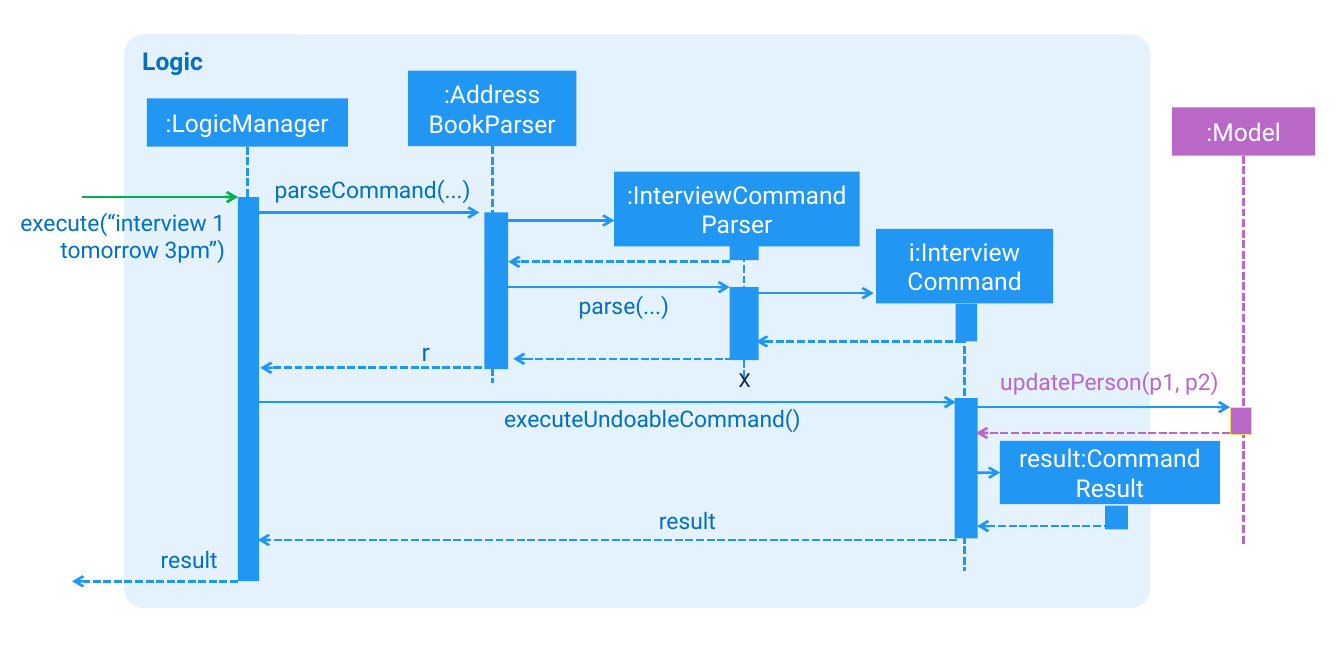
from dataclasses import dataclass

from lxml import etree
from pptx import Presentation
from pptx import util as u
from pptx.dml.color import RGBColor
from pptx.enum import dml, shapes, text
from pptx.oxml.ns import qn


@dataclass(frozen=True)
class Theme:
    font: str = "Roboto"
    panel: str = "E3F2FD"
    logic: str = "2196F3"
    model: str = "BA68C8"
    model_edge: str = "FFD966"
    call: str = "00B050"
    label: str = "0070C0"
    destroyed: str = "002060"
    white: str = "FFFFFF"
    title_size: int = 14
    label_size: int = 13
    mark_size: int = 11
    line_width: float = 1.5
    edge_width: float = 0.5


THEME = Theme()


def write_text(shape, content, size=THEME.title_size, color=THEME.white, bold=False,
               align=text.PP_ALIGN.CENTER, anchor=text.MSO_ANCHOR.MIDDLE, inset=0):
    frame = shape.text_frame
    frame.word_wrap = True
    frame.vertical_anchor = anchor
    frame.margin_left = frame.margin_right = u.Cm(inset)
    frame.margin_top = frame.margin_bottom = u.Cm(inset / 2)
    frame.text = content
    for paragraph in frame.paragraphs:
        paragraph.alignment = align
        paragraph.font.name = THEME.font
        paragraph.font.size = u.Pt(size)
        paragraph.font.bold = bold
        paragraph.font.color.rgb = RGBColor.from_string(color)


def add_block(slide, left, top, width, height, color=THEME.logic, edge=None,
              kind=shapes.MSO_SHAPE.RECTANGLE):
    shape = slide.shapes.add_shape(kind, u.Cm(left), u.Cm(top), u.Cm(width), u.Cm(height))
    shape.shadow.inherit = False
    shape.fill.solid()
    shape.fill.fore_color.rgb = RGBColor.from_string(color)
    if edge:
        shape.line.color.rgb = RGBColor.from_string(edge)
        shape.line.width = u.Pt(THEME.edge_width)
    else:
        shape.line.fill.background()
    return shape


def add_participant(slide, name, left, top, width, height, color=THEME.logic):
    shape = add_block(slide, left, top, width, height, color)
    write_text(shape, name)
    return shape


def add_line(slide, start, end, color=THEME.logic, dashed=False, arrow=False):
    line = slide.shapes.add_connector(shapes.MSO_CONNECTOR.STRAIGHT, *start, *end)
    line.line.color.rgb = RGBColor.from_string(color)
    line.line.width = u.Pt(THEME.line_width)
    if dashed:
        line.line.dash_style = dml.MSO_LINE.SQUARE_DOT
    properties = line._element.spPr
    if arrow:
        etree.SubElement(properties.find(qn("a:ln")), qn("a:tailEnd"), type="arrow")
    etree.SubElement(properties, qn("a:effectLst"))
    return line


def add_lifeline(slide, owner, bottom, color=THEME.logic, site=2):
    center = owner.left + owner.width // 2
    top = owner.top + (owner.height if site == 2 else 0)
    line = add_line(slide, (center, top), (center, u.Cm(bottom)), color, dashed=True)
    line.begin_connect(owner, site)


def add_message(slide, start, end, y, color=THEME.logic, reply=False):
    return add_line(slide, (u.Cm(start), u.Cm(y)), (u.Cm(end), u.Cm(y)), color, reply, True)


def add_label(slide, content, left, top, width, height=0.56, size=THEME.label_size,
              color=THEME.label, align=text.PP_ALIGN.RIGHT):
    box = slide.shapes.add_textbox(u.Cm(left), u.Cm(top), u.Cm(width), u.Cm(height))
    write_text(box, content, size=size, color=color, align=align, anchor=text.MSO_ANCHOR.TOP)


def add_panel(slide):
    panel = add_block(slide, 2.49, 0.69, 20.62, 11.53, THEME.panel,
                      kind=shapes.MSO_SHAPE.ROUNDED_RECTANGLE)
    panel.adjustments[0] = 0.035
    write_text(panel, "Logic", color=THEME.label, bold=True, align=text.PP_ALIGN.LEFT,
               anchor=text.MSO_ANCHOR.TOP, inset=0.25)


def add_participants(slide):
    participants = [
        (":LogicManager", 2.95, 1.98, 4.04, 0.97, THEME.logic, 10.21),
        (":Address\nBookParser", 8.2, 1.42, 3.38, 1.52, THEME.logic, 7.7),
        ("i:Interview\nCommand", 17.6, 4.6, 3.56, 1.5, THEME.logic, 11.48),
        (":Model", 23.55, 2.16, 2.87, 0.97, THEME.model, 10.97),
    ]
    for *box, color, bottom in participants:
        add_lifeline(slide, add_participant(slide, *box, color), bottom, color)

    add_participant(slide, ":InterviewCommand\nParser", 12.34, 3.45, 4.93, 1.5)
    creation_bar = add_block(slide, 14.66, 4.9, 0.58, 0.33)
    add_lifeline(slide, creation_bar, 7.67, site=0)

    bars = [
        (4.78, 3.96, 0.43, 7.72),
        (9.73, 4.27, 0.48, 3.15),
        (14.66, 5.77, 0.58, 1.47),
        (19.2, 6.1, 0.43, 0.76),
        (19.18, 8, 0.46, 2.82),
        (22.2, 10.16, 0.46, 0.48),
    ]
    for bar in bars:
        add_block(slide, *bar)
    add_block(slide, 24.71, 8.18, 0.43, 0.56, THEME.model, THEME.model_edge)
    return add_participant(slide, "result:Command Result", 20.09, 8.86, 4.42, 1.27)


def add_messages(slide, result_box):
    calls = [
        (5.18, 9.63, 4.27),
        (10.21, 12.34, 4.43),
        (10.21, 14.66, 5.77),
        (15.19, 17.55, 5.89),
        (5.18, 19.2, 8.08),
        (19.63, 24.71, 8.18),
    ]
    replies = [
        (14.66, 10.21, 5.26),
        (19.35, 15.19, 6.86),
        (14.94, 10.31, 7.21),
        (9.68, 5.23, 7.39),
        (22.33, 19.63, 10.57),
        (19.23, 5.18, 10.85),
        (4.78, 1.45, 11.68),
    ]
    for call in calls:
        add_message(slide, *call)
    for reply in replies:
        add_message(slide, *reply, reply=True)
    add_message(slide, 1.65, 4.78, 3.96, THEME.call)
    add_message(slide, 24.71, 19.61, 8.7, THEME.model, reply=True)
    creation = add_message(slide, 19.63, 20.09, 9.5)
    creation.end_connect(result_box, 1)


def add_labels(slide):
    add_label(slide, "execute(“interview 1 tomorrow 3pm”)", 0.13, 4.19, 4.39, 1.12)
    add_label(slide, "parseCommand(...)", 5.49, 3.53, 3.96)
    add_label(slide, "parse(...)", 11.43, 5.87, 2.01)
    add_label(slide, "r", 8.03, 6.78, 0.61, size=THEME.title_size)
    add_label(slide, "executeUndoableCommand()", 9.7, 8.13, 6.38)
    add_label(slide, "updatePerson(p1, p2)", 19.63, 7.39, 4.85, color=THEME.model)
    add_label(slide, "result", 12.65, 10.19, 1.73)
    add_label(slide, "result", 2.26, 10.97, 2.11)
    add_label(slide, "X", 14.58, 7.39, 0.76, size=THEME.mark_size,
              color=THEME.destroyed, align=text.PP_ALIGN.CENTER)


def main():
    presentation = Presentation()
    presentation.slide_width = u.Cm(27)
    presentation.slide_height = u.Cm(13)
    slide = presentation.slides.add_slide(presentation.slide_layouts[6])
    add_panel(slide)
    result_box = add_participants(slide)
    add_messages(slide, result_box)
    add_labels(slide)
    presentation.save("out.pptx")


if __name__ == "__main__":
    main()
